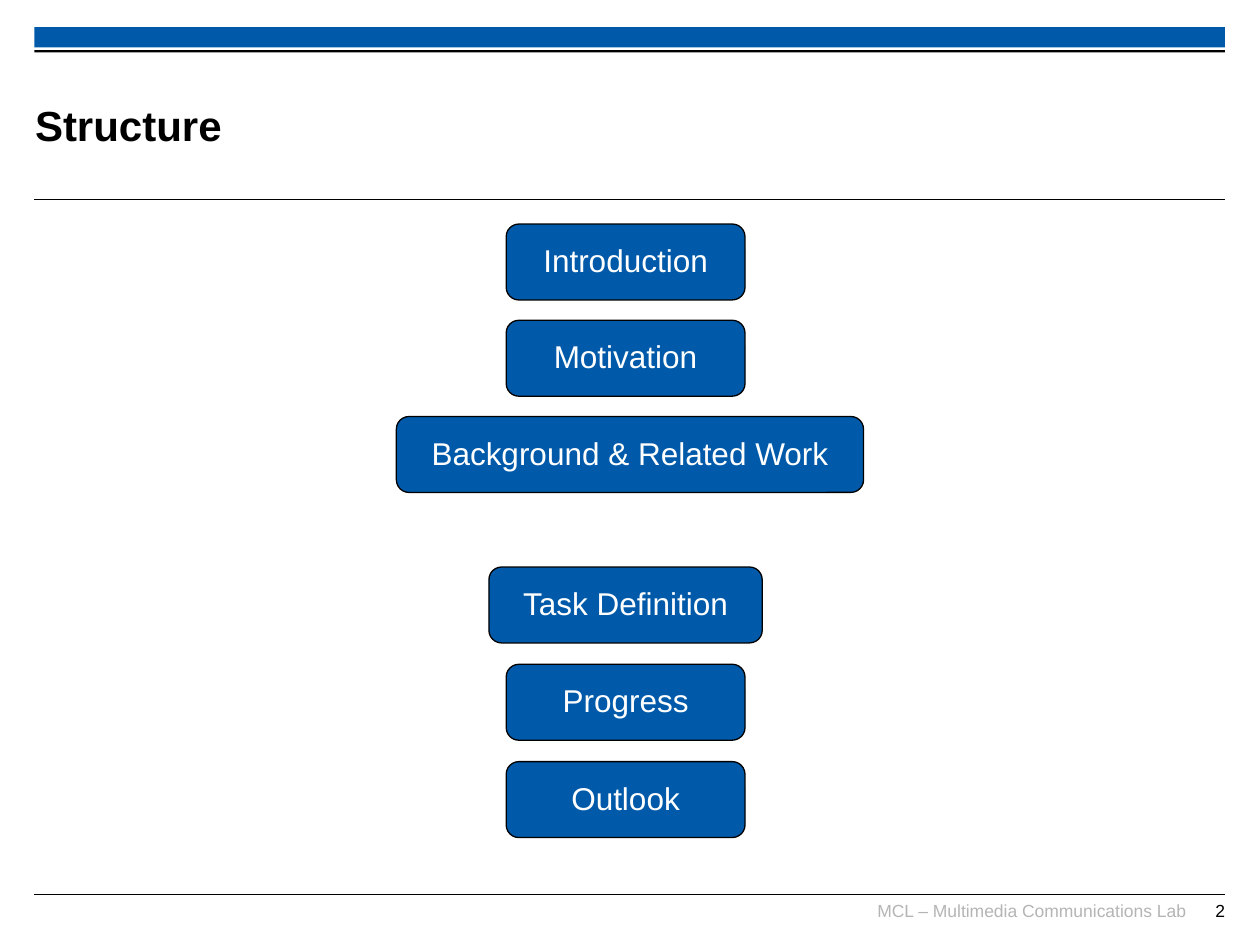
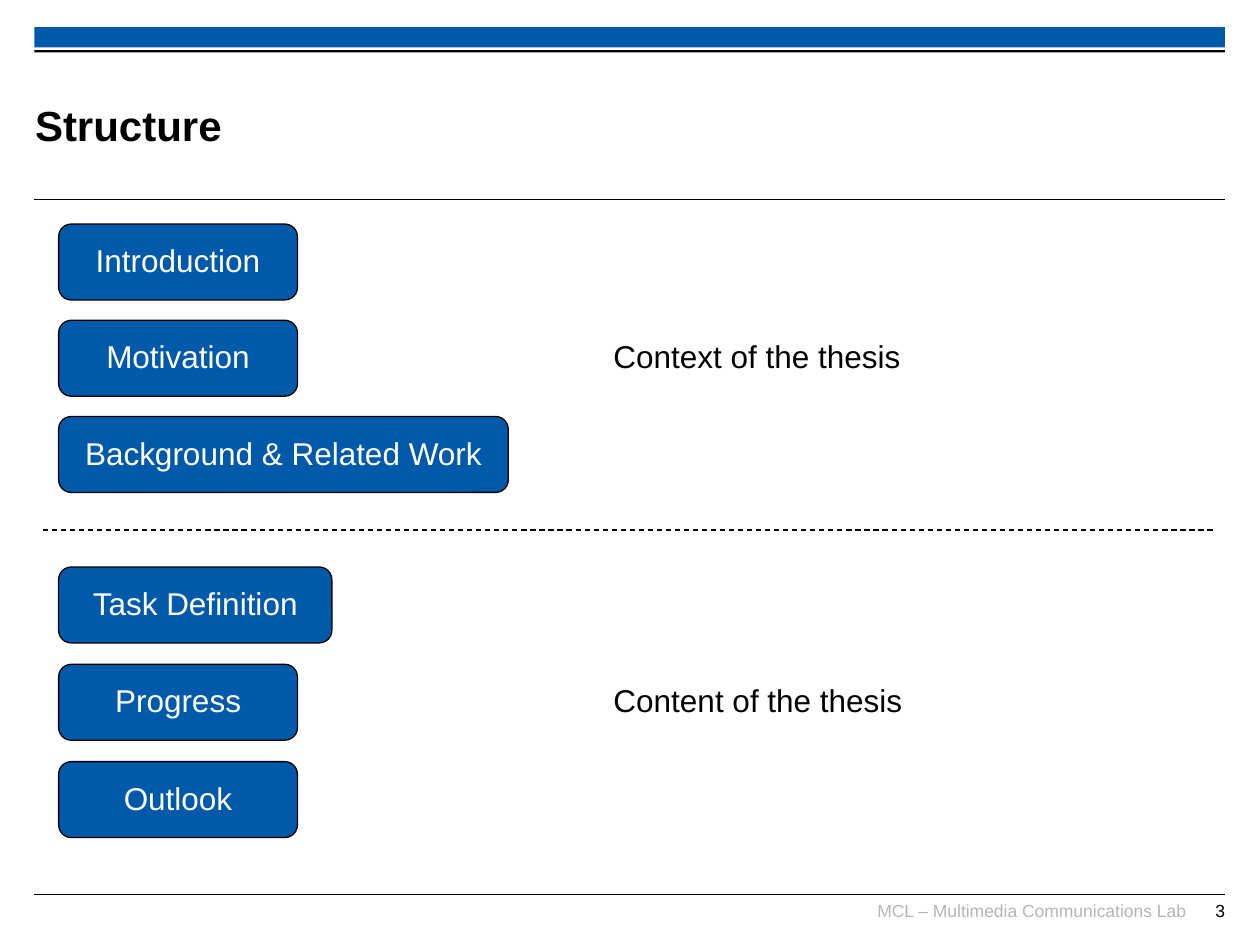
from dataclasses import dataclass

from lxml import etree
from pptx import Presentation
from pptx.dml.color import RGBColor
from pptx.enum.dml import MSO_LINE
from pptx.enum.shapes import MSO_CONNECTOR, MSO_SHAPE
from pptx.enum.text import MSO_ANCHOR, MSO_AUTO_SIZE, PP_ALIGN
from pptx.oxml.ns import qn
from pptx.slide import Slide
from pptx.text.text import TextFrame
from pptx.util import Pt

BLUE = RGBColor(0x00, 0x5A, 0xA9)
BLACK = RGBColor(0x00, 0x00, 0x00)
WHITE = RGBColor(0xFF, 0xFF, 0xFF)
GREY = RGBColor(0xB5, 0xB5, 0xB5)

LEFT, CENTER, RIGHT = PP_ALIGN.LEFT, PP_ALIGN.CENTER, PP_ALIGN.RIGHT
MIDDLE = MSO_ANCHOR.MIDDLE
NO_AUTOFIT = MSO_AUTO_SIZE.NONE
RECTANGLE, ROUNDED = MSO_SHAPE.RECTANGLE, MSO_SHAPE.ROUNDED_RECTANGLE
STRAIGHT = MSO_CONNECTOR.STRAIGHT
DASH = MSO_LINE.DASH

FONT = "Arial"
MARGIN = 19.6
CONTENT_WIDTH = 680.4
CHAPTER_HEIGHT = 43.4
CHAPTER_LEFT = 33.5
LINE_SPACING = 0.93
FOOTER_TOP = 514
FOOTER = "MCL – Multimedia Communications Lab"


@dataclass(frozen=True)
class Chapter:
    name: str
    width: float = 136.5
    centre: float = 357.5
    listed_width: float | None = None  # width in the left-aligned list, if different


@dataclass(frozen=True)
class Part:
    top: float
    pitch: float
    role: str
    chapters: tuple[Chapter, ...]


PARTS = (
    Part(128, 55, "Context of the thesis", (
        Chapter("Introduction"),
        Chapter("Motivation"),
        Chapter("Background & Related Work", 267, 360, 257),
    )),
    Part(324, 55.6, "Content of the thesis", (
        Chapter("Task Definition", 156.2),
        Chapter("Progress"),
        Chapter("Outlook"),
    )),
)


def write(frame: TextFrame, text: str, size: float, color: RGBColor,
          align: PP_ALIGN = LEFT, bold: bool = False,
          spacing: float | None = None) -> None:
    paragraph = frame.paragraphs[0]
    paragraph.alignment = align
    paragraph.line_spacing = spacing
    run = paragraph.add_run()
    run.text = text
    run.font.name = FONT
    run.font.size = Pt(size)
    run.font.bold = bold
    run.font.color.rgb = color


def clear_insets(frame: TextFrame) -> None:
    frame.margin_left = frame.margin_right = Pt(0)
    frame.margin_top = frame.margin_bottom = Pt(0)


def add_bar(slide: Slide, top: float, height: float, color: RGBColor) -> None:
    bar = slide.shapes.add_shape(
        RECTANGLE, Pt(MARGIN), Pt(top), Pt(CONTENT_WIDTH), Pt(height))
    bar.shadow.inherit = False
    bar.fill.solid()
    bar.fill.fore_color.rgb = color
    bar.line.fill.background()


def add_rule(slide: Slide, left: float, right: float, top: float,
             weight: float = 0.6, dash: MSO_LINE | None = None) -> None:
    rule = slide.shapes.add_connector(STRAIGHT, Pt(left), Pt(top), Pt(right), Pt(top))
    rule.line.color.rgb = BLACK
    rule.line.width = Pt(weight)
    rule.line.dash_style = dash
    etree.SubElement(rule._element.spPr, qn("a:effectLst"))


def add_footer_text(slide: Slide, left: float, width: float,
                    text: str, color: RGBColor) -> None:
    box = slide.shapes.add_textbox(Pt(left), Pt(FOOTER_TOP), Pt(width), Pt(17.5))
    box.text_frame.word_wrap = True
    clear_insets(box.text_frame)
    write(box.text_frame, text, 10, color, RIGHT)


def add_framed_slide(prs: Presentation, title: str, number: int) -> Slide:
    """Add a slide with its title, bands, rules and footer."""
    slide = prs.slides.add_slide(prs.slide_layouts[5])
    add_bar(slide, 15.6, 11.5, BLUE)
    add_bar(slide, 28.6, 1.4, BLACK)
    for top in (114.2, 511.2):
        add_rule(slide, MARGIN, MARGIN + CONTENT_WIDTH, top)
    add_footer_text(slide, 490, 187.6, FOOTER, GREY)
    add_footer_text(slide, 669, 31, str(number), BLACK)

    heading = slide.shapes.title
    heading.left, heading.top = Pt(20), Pt(38.2)
    heading.width, heading.height = Pt(541.5), Pt(66.2)
    frame = heading.text_frame
    frame.auto_size = NO_AUTOFIT
    frame.vertical_anchor = MIDDLE
    clear_insets(frame)
    write(frame, title, 24, BLACK, bold=True)
    return slide


def add_chapter(slide: Slide, name: str, left: float, top: float, width: float) -> None:
    box = slide.shapes.add_shape(
        ROUNDED, Pt(left), Pt(top), Pt(width), Pt(CHAPTER_HEIGHT))
    box.shadow.inherit = False
    box.fill.solid()
    box.fill.fore_color.rgb = BLUE
    box.line.color.rgb = BLACK
    box.line.width = Pt(0.75)
    box.text_frame.word_wrap = False
    box.text_frame.vertical_anchor = MIDDLE
    write(box.text_frame, name, 18, WHITE, CENTER, spacing=LINE_SPACING)


def add_chapters(slide: Slide, part: Part, centred: bool) -> None:
    for row, chapter in enumerate(part.chapters):
        if centred:
            width = chapter.width
            left = chapter.centre - width / 2
        else:
            width = chapter.listed_width or chapter.width
            left = CHAPTER_LEFT
        add_chapter(slide, chapter.name, left, part.top + row * part.pitch, width)


def add_role(slide: Slide, part: Part) -> None:
    """Name the part's role beside its middle chapter."""
    height = 27.4
    top = part.top + part.pitch + (CHAPTER_HEIGHT - height) / 2
    label = slide.shapes.add_textbox(Pt(343.5), Pt(top), Pt(260), Pt(height))
    label.text_frame.word_wrap = True
    write(label.text_frame, part.role, 18, BLACK, spacing=LINE_SPACING)


def main() -> None:
    prs = Presentation()
    prs.slide_width, prs.slide_height = Pt(720), Pt(540)

    outline = add_framed_slide(prs, "Structure", 2)
    roles = add_framed_slide(prs, "Structure", 3)
    for part in PARTS:
        add_chapters(outline, part, centred=True)
        add_chapters(roles, part, centred=False)
        add_role(roles, part)
    add_rule(roles, 24.5, 693.4, 302.8, 0.75, DASH)

    prs.save("out.pptx")


if __name__ == "__main__":
    main()
